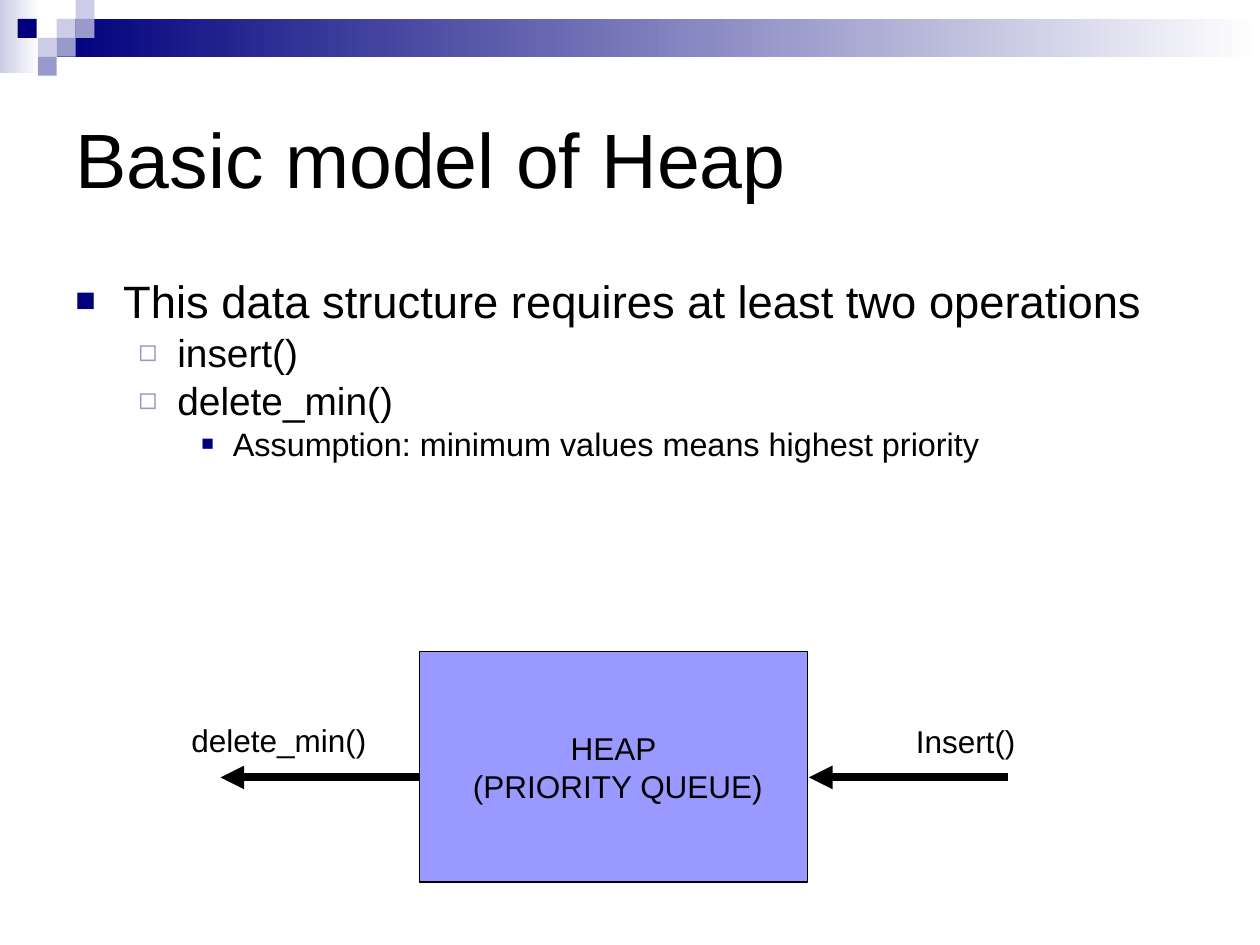
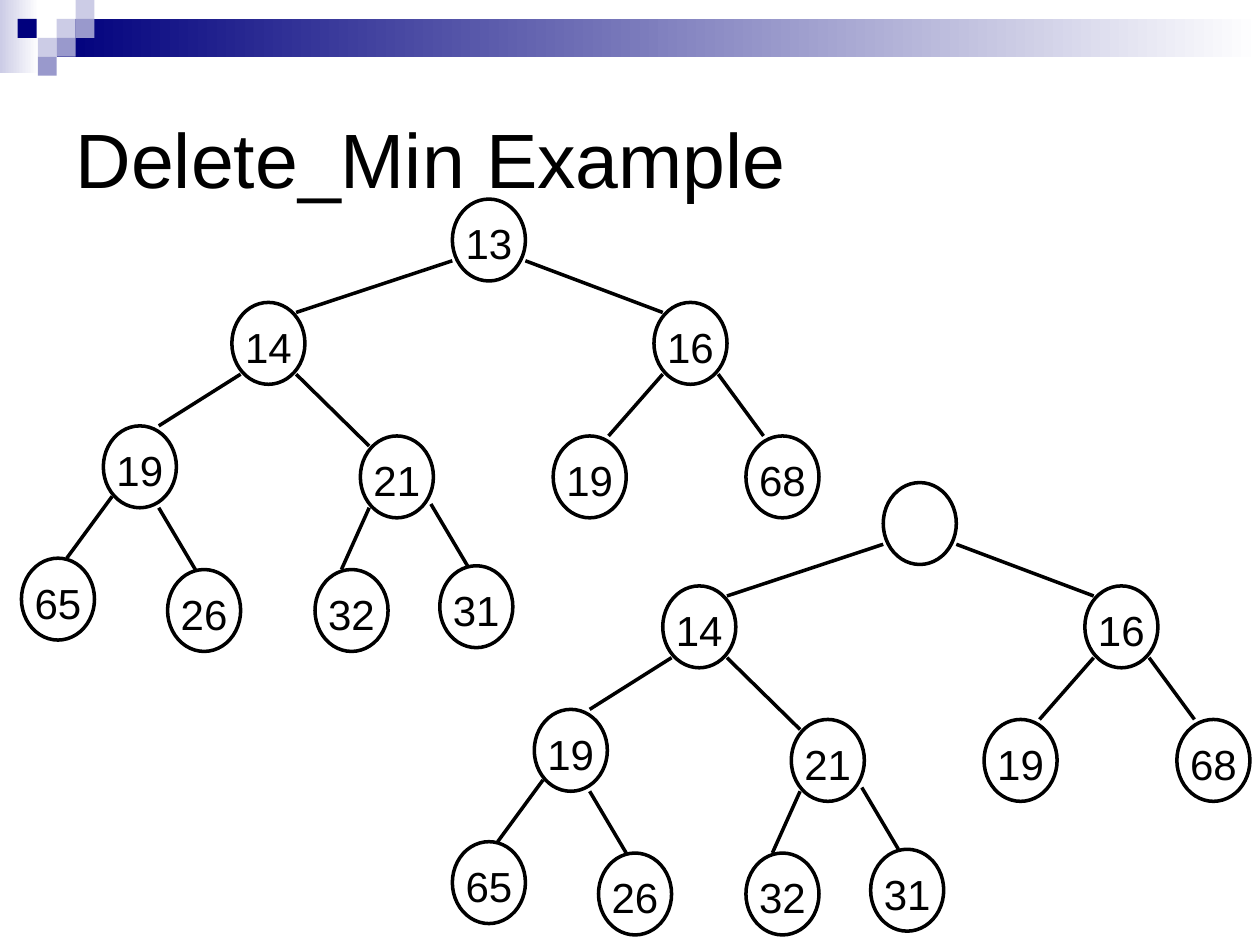
"""Build two slides on heaps: the basic model and a delete_min example."""
from lxml.etree import SubElement
from pptx import Presentation
from pptx.dml.color import RGBColor
from pptx.enum.shapes import MSO_CONNECTOR, MSO_SHAPE
from pptx.enum.text import MSO_ANCHOR, MSO_AUTO_SIZE, PP_ALIGN
from pptx.oxml.ns import qn
from pptx.util import Inches, Pt

BLACK, WHITE = "000000", "FFFFFF"
NAVY, LILAC, PALE, HEAP_FILL = "00007D", "9999CC", "CCCCE6", "9999FF"
FONT = "Arial"
TILE = 0.15
FADES = [((0, 0, 0.31, 0.58), PALE), ((0.45, 0.15, 9.55, 0.3), NAVY)]
TILES = [
    (0.45, 0.15, PALE), (0.6, 0, PALE), (0.6, 0.15, LILAC), (0.3, 0.3, PALE),
    (0.14, 0.15, NAVY), (0.45, 0.3, LILAC), (0.3, 0.45, LILAC),
]
BULLETS = [
    dict(size=25.9, before=0, left=0.38, hang=0.38, char="■", color=NAVY, scale=75),
    dict(size=22.2, before=6, left=0.81, hang=0.31, char="◻", color=LILAC, scale=80),
    dict(size=18.5, before=5, left=1.25, hang=0.25, char="■", color=NAVY, scale=65),
]
OPERATIONS = [
    (0, "This data structure requires at least two operations"),
    (1, "insert()"),
    (1, "delete_min()"),
    (2, "Assumption: minimum values means highest priority"),
]
NODE_SIZE = (0.58, 0.65)
ROOT = (3.59, 1.58)
DESCENDANTS = [
    ("14", 1.84, 2.4), ("16", 5.19, 2.4),
    ("19", 0.82, 3.38), ("21", 2.86, 3.46), ("19", 4.39, 3.46), ("68", 5.92, 3.46),
    ("65", 0.17, 4.43), ("26", 1.33, 4.52), ("32", 2.5, 4.52), ("31", 3.49, 4.49),
]
EDGES = [
    (3.59, 2.07, 2.35, 2.48), (4.17, 2.07, 5.26, 2.48),
    (1.91, 2.97, 1.26, 3.38), (2.35, 2.97, 2.93, 3.54),
    (5.26, 2.97, 4.83, 3.46), (5.7, 2.97, 6.06, 3.46),
    (0.89, 3.94, 0.53, 4.43), (1.26, 4.03, 1.55, 4.52),
    (2.93, 4.03, 2.71, 4.52), (3.42, 4, 3.71, 4.49),
]


def rgb(value):
    """Turn a hex string into a colour."""
    return RGBColor.from_string(value)


def apply(target, **values):
    """Set each named attribute on the target."""
    for name, value in values.items():
        setattr(target, name, value)


class Deck:
    """Hold the shared style and the current slide."""

    def __init__(self):
        """Start an empty presentation."""
        self.presentation = Presentation()
        apply(self.presentation, slide_width=Inches(10), slide_height=Inches(7.5))
        self.slide = None

    def add_slide(self, title):
        """Open a slide with the shared bands and title."""
        layout = self.presentation.slide_layouts[5]
        self.slide = self.presentation.slides.add_slide(layout)
        for place, start in FADES:
            self.fade(place, start)
        for x, y, color in TILES:
            self.shape(MSO_SHAPE.RECTANGLE, (x, y, TILE, TILE), color)
        heading = self.slide.shapes.title
        apply(heading, left=Inches(0.5), top=Inches(0.5), width=Inches(9), height=Inches(1.5))
        self.set_lines(heading.text_frame, [title], 44, PP_ALIGN.LEFT, MSO_ANCHOR.MIDDLE)

    def style(self, paragraph, size):
        """Give the runs of a paragraph the shared font."""
        for run in paragraph.runs:
            apply(run.font, name=FONT, size=Pt(size))
            run.font.color.rgb = rgb(BLACK)

    def set_lines(self, frame, lines, size, align, anchor, wrap=True):
        """Fill a text frame with lines of one style."""
        apply(frame, word_wrap=wrap, auto_size=MSO_AUTO_SIZE.NONE, vertical_anchor=anchor)
        for index, line in enumerate(lines):
            paragraph = frame.add_paragraph() if index else frame.paragraphs[0]
            apply(paragraph, text=line, alignment=align)
            self.style(paragraph, size)

    def shape(self, kind, place, fill=None, line=None, weight=1.0):
        """Draw a preset shape."""
        shape = self.slide.shapes.add_shape(kind, *map(Inches, place))
        shape.shadow.inherit = False
        for part, color in ((shape.fill, fill), (shape.line.fill, line)):
            if color:
                part.solid()
                part.fore_color.rgb = rgb(color)
            else:
                part.background()
        if line:
            shape.line.width = Pt(weight)
        return shape

    def fade(self, place, start):
        """Draw a band that fades to white from left to right."""
        band = self.shape(MSO_SHAPE.RECTANGLE, place)
        band.fill.gradient()
        band.fill.gradient_angle = 0
        for stop, position, color in zip(band.fill.gradient_stops, (0, 1), (start, WHITE)):
            stop.position = position
            stop.color.rgb = rgb(color)

    def label(self, text, place):
        """Place a small caption."""
        box = self.slide.shapes.add_textbox(*map(Inches, place))
        self.set_lines(box.text_frame, [text], 18, PP_ALIGN.LEFT, MSO_ANCHOR.TOP)

    def bullets(self, items, place):
        """Place a bulleted list of (level, text) items."""
        frame = self.slide.shapes.add_textbox(*map(Inches, place)).text_frame
        apply(frame, word_wrap=True, margin_top=Inches(0.08))
        for index, (level, text) in enumerate(items):
            look = BULLETS[level]
            paragraph = frame.add_paragraph() if index else frame.paragraphs[0]
            apply(paragraph, text=text, level=level, line_spacing=0.8,
                  space_before=Pt(look["before"]))
            props = paragraph._p.get_or_add_pPr()
            props.set("marL", str(Inches(look["left"])))
            props.set("indent", str(-Inches(look["hang"])))
            color = SubElement(props, qn("a:buClr"))
            SubElement(color, qn("a:srgbClr"), val=look["color"])
            SubElement(props, qn("a:buSzPct"), val=str(look["scale"] * 1000))
            SubElement(props, qn("a:buFont"), typeface=FONT)
            SubElement(props, qn("a:buChar"), char=look["char"])
            self.style(paragraph, look["size"])

    def line(self, ends, weight, arrow=False):
        """Draw a straight line, with an arrowhead at its end if asked."""
        line = self.slide.shapes.add_connector(MSO_CONNECTOR.STRAIGHT, *map(Inches, ends))
        line.line.color.rgb = rgb(BLACK)
        line.line.width = Pt(weight)
        props = line._element.spPr
        if arrow:
            SubElement(props.find(qn("a:ln")), qn("a:tailEnd"), type="triangle")
        SubElement(props, qn("a:effectLst"))

    def node(self, value, x, y):
        """Draw a tree node with its value."""
        node = self.shape(MSO_SHAPE.OVAL, (x, y, *NODE_SIZE), line=BLACK, weight=2)
        if value:
            frame = node.text_frame
            apply(frame, margin_left=0, margin_right=0, margin_top=Inches(0.05), margin_bottom=0)
            self.set_lines(frame, [value], 24, PP_ALIGN.CENTER, MSO_ANCHOR.MIDDLE, wrap=False)

    def tree(self, root_value, dx=0, dy=0):
        """Draw the heap, moved by the given distance."""
        for x1, y1, x2, y2 in EDGES:
            self.line((x1 + dx, y1 + dy, x2 + dx, y2 + dy), 2)
        for value, x, y in [(root_value, *ROOT), *DESCENDANTS]:
            self.node(value, x + dx, y + dy)


def main():
    """Build and save both slides."""
    deck = Deck()

    deck.add_slide("Basic model of Heap")
    deck.bullets(OPERATIONS, (0.5, 2.17, 9, 1.83))
    heap = deck.shape(MSO_SHAPE.RECTANGLE, (3.33, 5.17, 3.08, 1.83), HEAP_FILL, BLACK, 0.75)
    deck.set_lines(heap.text_frame, ["HEAP", " (PRIORITY QUEUE)"], 18,
                   PP_ALIGN.CENTER, MSO_ANCHOR.MIDDLE, wrap=False)
    for start, end in ((8, 6.42), (3.33, 1.75)):
        deck.line((start, 6.17, end, 6.17), 4.5, arrow=True)
    deck.label("Insert()", (7.17, 5.68, 1.5, 0.4))
    deck.label("delete_min()", (1.42, 5.67, 1.83, 0.4))

    deck.add_slide("Delete_Min Example")
    deck.tree("13")
    deck.tree("", 3.42, 2.25)

    deck.presentation.save("out.pptx")


if __name__ == "__main__":
    main()
